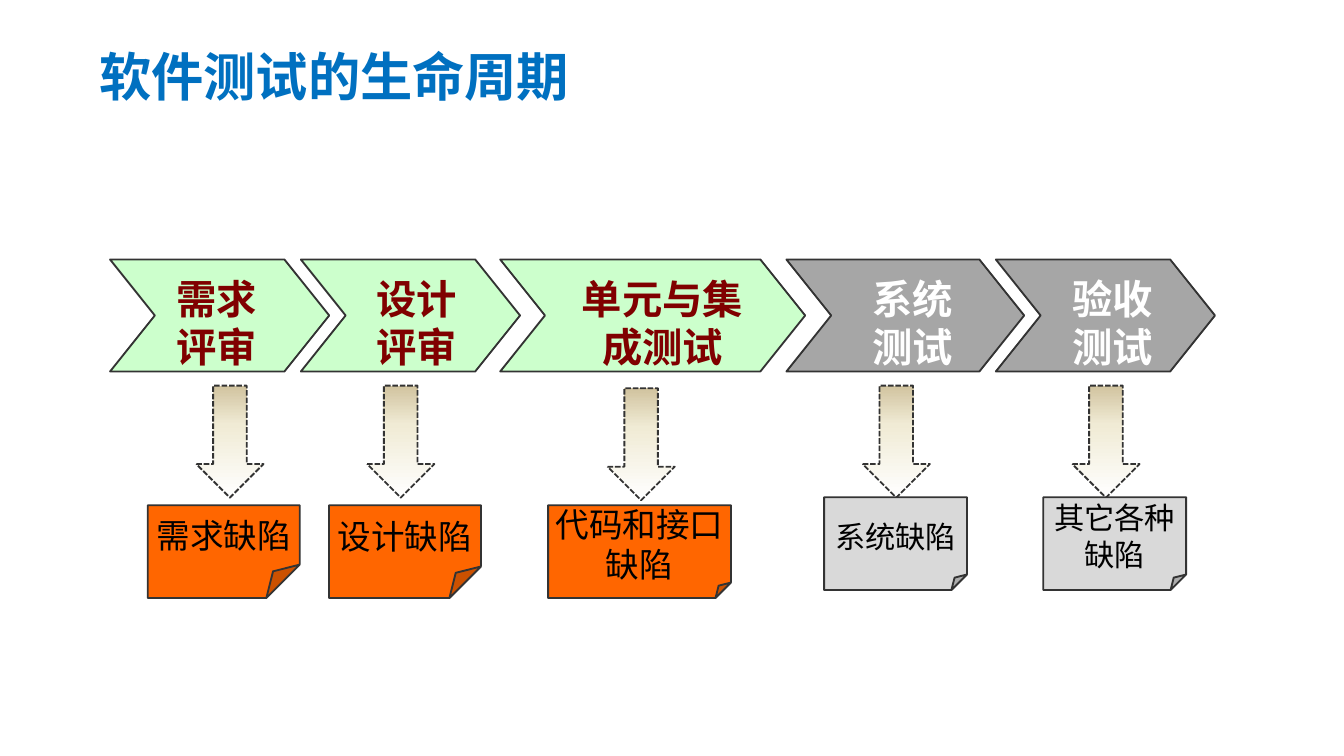
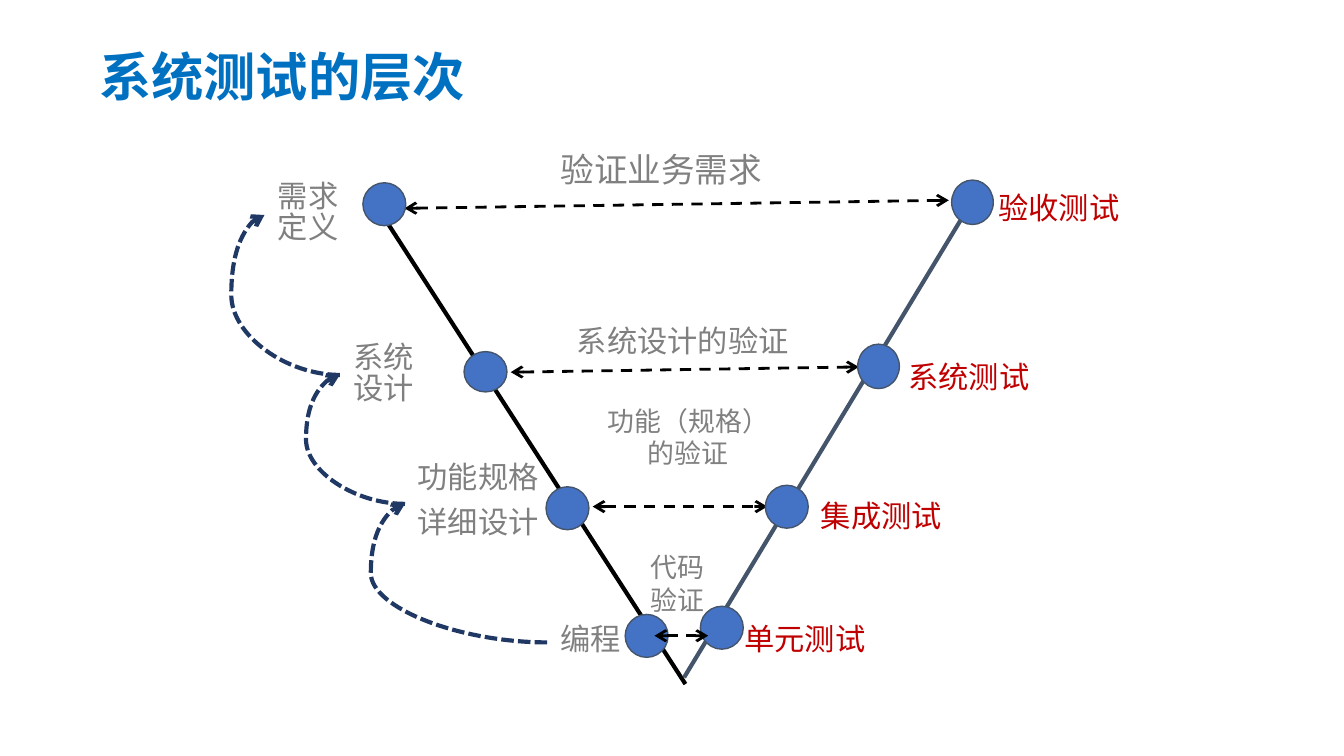
import copy

import pptx
import pptx.dml.color
import pptx.enum.dml
import pptx.enum.shapes
import pptx.enum.text
import pptx.oxml.ns
import pptx.util
from lxml import etree

Pt = pptx.util.Pt
qn = pptx.oxml.ns.qn
SHAPE = pptx.enum.shapes.MSO_SHAPE
CONNECTOR = pptx.enum.shapes.MSO_CONNECTOR
DASH = pptx.enum.dml.MSO_LINE
ALIGN = pptx.enum.text.PP_ALIGN
ANCHOR = pptx.enum.text.MSO_ANCHOR
AUTO = pptx.enum.text.MSO_AUTO_SIZE

COLORS = {
    "title": "0070C0", "outline": "333333", "black": "000000", "white": "FFFFFF",
    "green": "CCFFCC", "gray": "A6A6A6", "maroon": "800000",
    "orange": "FF6600", "light": "D9D9D9",
    "label": "808080", "test": "C00000", "node": "4472C4",
    "slate": "44546A", "navy": "203864",
}
FONT = "Noto Sans CJK SC"
NOTE_FONT = "Calibri"
TITLE_BOX = (46, 22.3, 579.6, 41)

# Life cycle
LIFE_TITLE = "软件测试的生命周期"
CHEVRON_TOP, CHEVRON_HEIGHT = 139, 60
LABEL_TOP, LABEL_HEIGHT = 146.9, 52.6
ARROW_SIZE = (36, 60)
NOTE_HEIGHT = 49.7
ARROW_STOPS = [(0, "FFFFFF"), (0.65, "F0EBD5"), (1, "D1C39F")]
PHASES = {
    "early": {"fill": "green", "text": "maroon", "note": "orange",
              "note_top": 270.7, "note_size": 18},
    "late": {"fill": "gray", "text": "white", "note": "light",
             "note_top": 266.4, "note_size": 16.2},
}
# phase, chevron (left, width), label (text, left, width), arrow (left, top),
# note (text, left, width, fold)
STAGES = [
    ("early", (59, 117.4), ("需求评审", 94.3, 46), (105.2, 206.6),
     ("需求缺陷", 79.2, 81.4, 0.36)),
    ("early", (161.2, 117.4), ("设计评审", 201.6, 46), (196.7, 206.6),
     ("设计缺陷", 176.3, 81.4, 0.34)),
    ("early", (268, 163.4), ("单元与集成测试", 308.8, 92.2), (325.5, 208),
     ("代码和接口\n缺陷", 293.6, 98, None)),
    ("late", (421.3, 127.4), ("系统测试", 467.4, 46), (462.2, 206.6),
     ("系统缺陷", 441.5, 76.5, None)),
    ("late", (533.5, 117.4), ("验收测试", 574.6, 46), (574.5, 206.6),
     ("其它各种\n缺陷", 558.9, 76.5, None)),
]

# V model
V_TITLE = "系统测试的层次"
V_ARMS = [("black", (201.6, 110.2), (367.2, 366.5)),
          ("slate", (366.5, 362.9), (519.8, 109.4))]
CHECK_ARROWS = [((216.7, 111.6), (508.3, 107.3)), ((273.6, 199.4), (460.1, 196.6)),
                ((317.5, 271.4), (411.1, 271.4))]
UNIT_ARROW = ((350.6, 340.6), (379.4, 340.6))
# text, box, size
CHECKS = [
    ("系统设计的验证", (301, 169.2, 129.6, 26.6), 16.2),
    ("验证业务需求", (240.5, 76.3, 227.5, 28.8), 18),
    ("功能（规格）的验证", (318.2, 213.1, 101, 42.5), 14.4),
    ("代码验证", (340.6, 291.6, 44.6, 42.5), 14.4),
]
# text, box, colour
LEVELS = [
    ("需求定义", (141.8, 94.3, 53.3, 40.3), "label"),
    ("系统设计", (182.2, 180.7, 55.4, 40.3), "label"),
    ("功能规格\n详细设计", (216.7, 244.8, 90, 50.4), "label"),
    ("编程", (293, 331.9, 51.1, 23.8), "label"),
    ("单元测试", (391.7, 331.9, 90, 23.8), "test"),
    ("集成测试", (432.7, 265.7, 85, 23.8), "test"),
    ("系统测试", (479.5, 191.5, 87.1, 23.8), "test"),
    ("验收测试", (527.8, 100.8, 85, 23.8), "test"),
]
NODES = [
    (194.4, 97.9, 23, 23), (248.6, 188.4, 23, 21.6), (292.5, 260.8, 23, 23),
    (334.9, 329.2, 23, 23), (375.2, 324.8, 23, 23), (410, 260, 23, 23),
    (459.5, 184.4, 22.3, 23.8), (509.8, 96.5, 22.3, 23.8),
]
RETURN_STOPS = [(293.2, 344.2), (217, 270), (182.1, 200.9), (141.7, 115.2)]
RETURN_BENDS = [1.24, 1.52, 1.44]


def rgb(name):
    return pptx.dml.color.RGBColor.from_string(COLORS.get(name, name))


def points(values):
    return [Pt(value) for value in values]


def apply(target, formats):
    for name, value in formats.items():
        setattr(target, name, value)


def set_guide(shape, name, value):
    """Set the adjustment that forms a preset outline, as a share of 1."""
    geometry = shape._element.spPr.find(qn("a:prstGeom"))
    guides = geometry.find(qn("a:avLst"))
    if guides is None:
        guides = etree.SubElement(geometry, qn("a:avLst"))
    for guide in list(guides):
        guides.remove(guide)
    guide = etree.SubElement(guides, qn("a:gd"))
    guide.set("name", name)
    guide.set("fmla", f"val {round(value * 100000)}")


def write(frame, text, color, font, frame_format, para_format, gap=0):
    """Fill a text frame, one paragraph a line, with gap between paragraphs."""
    frame.text = text
    apply(frame, frame_format)
    for index, para in enumerate(frame.paragraphs):
        apply(para, para_format)
        if index and gap:
            para.space_before = Pt(gap)
        for span in para.runs:
            apply(span.font, font)
            span.font.color.rgb = rgb(color)
            east_asian = etree.SubElement(span._r.get_or_add_rPr(), qn("a:ea"))
            east_asian.set("typeface", font["name"])


def add_text(shapes, text, box, size, color, para_format, bold=None, margin=None, gap=0):
    frame_format = {"word_wrap": True, "auto_size": AUTO.SHAPE_TO_FIT_TEXT}
    if margin is not None:
        sides = ("left", "top", "right", "bottom")
        frame_format.update({f"margin_{side}": margin for side in sides})
    frame = shapes.add_textbox(*points(box)).text_frame
    write(frame, text, color, {"name": FONT, "size": Pt(size), "bold": bold},
          frame_format, para_format, gap)


def add_filled(shapes, kind, box, fill, outline="outline", weight=1, adjust=None):
    shape = shapes.add_shape(kind, *points(box))
    shape.shadow.inherit = False
    if fill:
        shape.fill.solid()
        shape.fill.fore_color.rgb = rgb(fill)
    shape.line.color.rgb = rgb(outline)
    shape.line.width = Pt(weight)
    if adjust is not None:
        set_guide(shape, "adj", adjust)
    return shape


def add_line(shapes, start, end, color, weight, dash=None, ends=(), bend=None):
    """Draw a straight line, or a curve when bend is given."""
    kind = CONNECTOR.STRAIGHT if bend is None else CONNECTOR.CURVE
    line = shapes.add_connector(kind, *points(start + end))
    line.line.color.rgb = rgb(color)
    line.line.width = Pt(weight)
    line.line.dash_style = dash
    properties = line._element.spPr
    for name in ends:
        etree.SubElement(properties.find(qn("a:ln")), qn(f"a:{name}")).set("type", "arrow")
    etree.SubElement(properties, qn("a:effectLst"))
    if bend is not None:
        set_guide(line, "adj1", bend)


def add_down_arrow(shapes, corner):
    arrow = add_filled(shapes, SHAPE.DOWN_ARROW, corner + ARROW_SIZE, None)
    arrow.line.dash_style = DASH.SQUARE_DOT
    arrow.fill.gradient()
    arrow.fill.gradient_angle = 90
    stop_list = arrow._element.spPr.find(".//" + qn("a:gsLst"))
    stop_list.append(copy.deepcopy(stop_list[0]))
    for stop, (position, color) in zip(arrow.fill.gradient_stops, ARROW_STOPS):
        stop.position = position
        stop.color.rgb = rgb(color)


def add_page(deck, title):
    page = deck.slides.add_slide(deck.slide_layouts[5])
    holder = page.shapes.title
    apply(holder, dict(zip(("left", "top", "width", "height"), points(TITLE_BOX))))
    write(holder.text_frame, title, "title",
          {"name": FONT, "size": Pt(28), "bold": True},
          {"word_wrap": True, "auto_size": AUTO.NONE, "vertical_anchor": ANCHOR.MIDDLE},
          {"alignment": ALIGN.LEFT, "line_spacing": 0.9})
    return page


def build_life_cycle(deck):
    shapes = add_page(deck, LIFE_TITLE).shapes
    for phase, (left, width), label, arrow, note in STAGES:
        style = PHASES[phase]
        add_filled(shapes, SHAPE.CHEVRON, (left, CHEVRON_TOP, width, CHEVRON_HEIGHT),
                   style["fill"], adjust=0.4)
        text, left, width = label
        align = ALIGN.CENTER if len(text) > 4 else ALIGN.LEFT
        add_text(shapes, text, (left, LABEL_TOP, width, LABEL_HEIGHT), 21.6,
                 style["text"], {"alignment": align}, bold=True, margin=0)
        add_down_arrow(shapes, arrow)
        text, left, width, fold = note
        card = add_filled(shapes, SHAPE.FOLDED_CORNER,
                          (left, style["note_top"], width, NOTE_HEIGHT),
                          style["note"], adjust=fold)
        write(card.text_frame, text, "black",
              {"name": NOTE_FONT, "size": Pt(style["note_size"])},
              {"word_wrap": False, "vertical_anchor": ANCHOR.MIDDLE},
              {"alignment": ALIGN.CENTER})


def build_v_model(deck):
    shapes = add_page(deck, V_TITLE).shapes.add_group_shape().shapes
    both = ("headEnd", "tailEnd")
    for color, start, end in V_ARMS:
        add_line(shapes, start, end, color, 2.25)
    for start, end in CHECK_ARROWS:
        add_line(shapes, start, end, "black", 1.5, DASH.DASH, both)
    for box in NODES:
        add_filled(shapes, SHAPE.OVAL, box, "node", "slate", 0.75)
    for text, box, size in CHECKS:
        add_text(shapes, text, box, size, "label", {"alignment": ALIGN.CENTER})
    for text, box, color in LEVELS:
        add_text(shapes, text, box, 16.2, color, {"line_spacing": 0.85}, gap=8)
    for start, end, bend in zip(RETURN_STOPS, RETURN_STOPS[1:], RETURN_BENDS):
        add_line(shapes, start, end, "navy", 2.25, DASH.SQUARE_DOT, ("tailEnd",), bend)
    add_line(shapes, *UNIT_ARROW, "black", 1.5, DASH.DASH, both)


def main():
    deck = pptx.Presentation()
    deck.slide_width, deck.slide_height = Pt(720), Pt(405)
    build_life_cycle(deck)
    build_v_model(deck)
    deck.save("out.pptx")


if __name__ == "__main__":
    main()
